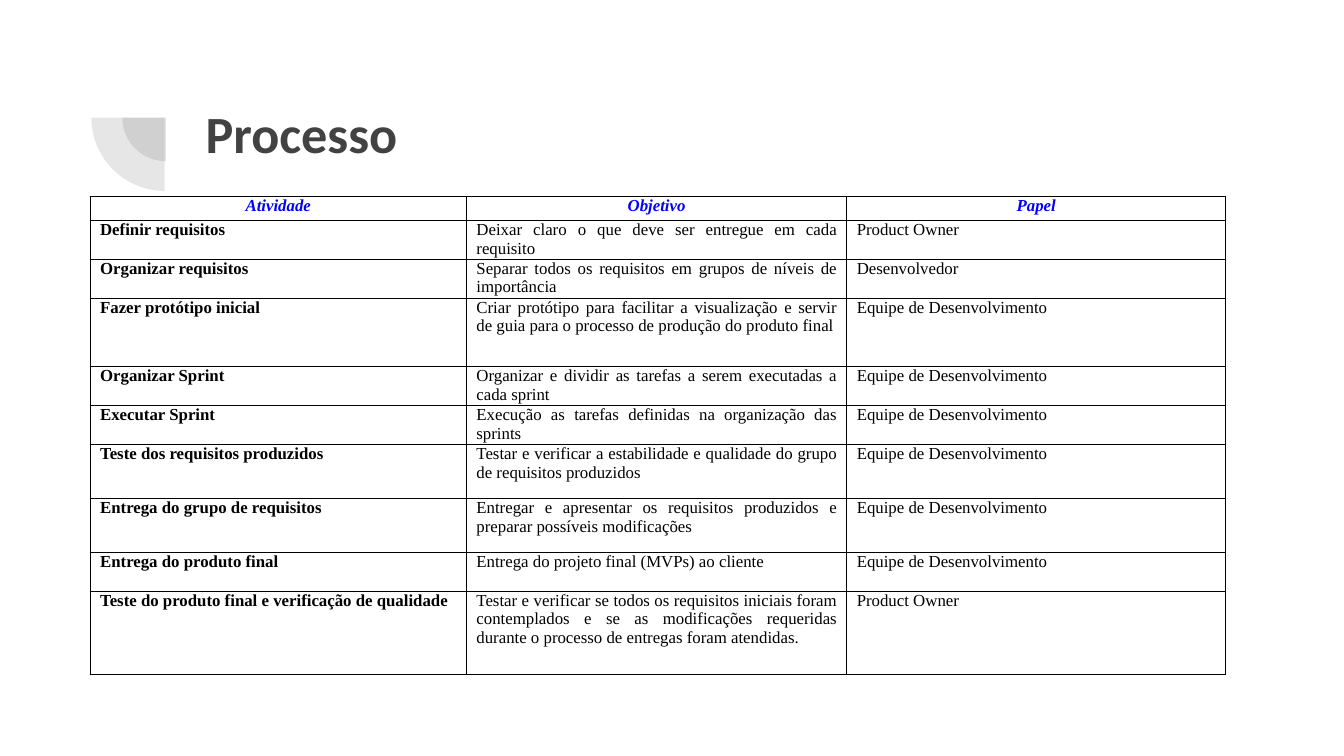
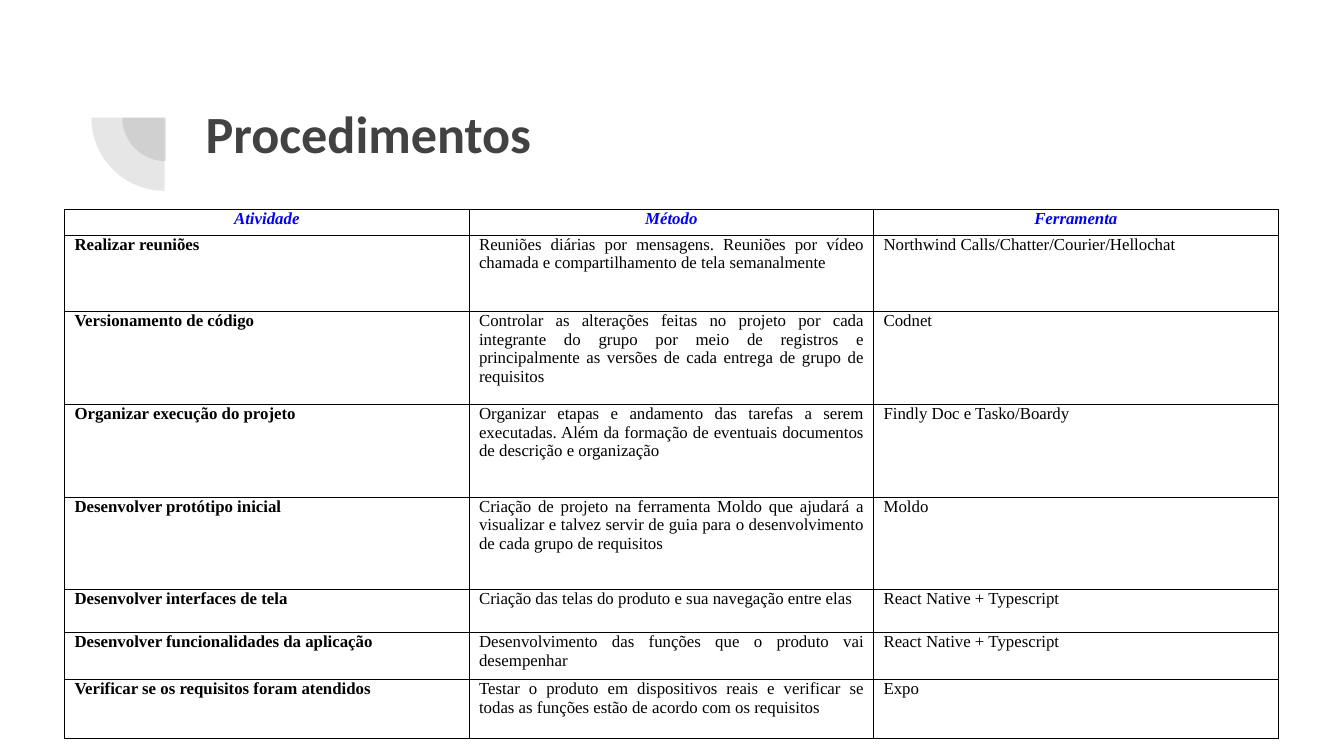
from lxml.etree import SubElement
from pptx import Presentation
from pptx.dml.color import RGBColor
from pptx.enum.shapes import MSO_SHAPE as Preset
from pptx.enum.text import MSO_ANCHOR as Anchor, MSO_AUTO_SIZE as AutoSize, PP_ALIGN as Align
from pptx.oxml.ns import qn
from pptx.util import Inches, Pt

GREY, BLUE, BLACK = "424242", "0000FF", "000000"
TITLE_FONT = {"name": "Calibri", "size": Pt(28), "bold": True}
HEADER_FONT = {"name": "Times New Roman", "size": Pt(9), "bold": True, "italic": True}
ACTIVITY_FONT = HEADER_FONT | {"italic": False}
DETAIL_FONT = ACTIVITY_FONT | {"bold": False}
TITLE_BOX = {"left": Inches(1.43), "top": Inches(0.65), "width": Inches(7.69), "height": Inches(1.09)}
TITLE_FRAME = {"margin_left": Inches(0.1), "margin_right": Inches(0.1),
               "margin_top": Inches(0.1), "margin_bottom": Inches(0.1),
               "vertical_anchor": Anchor.TOP, "word_wrap": True, "auto_size": AutoSize.NONE}
CELL_FRAME = {"margin_left": Pt(5.4), "margin_right": Pt(5.4),
              "margin_top": 0, "margin_bottom": 0, "vertical_anchor": Anchor.TOP}
PIES = [(0.91, 0.55, 0.65), (0.68, 0.33, 1.09)]

TEAM = "Equipe de Desenvolvimento"
STACK = "React Native + Typescript"
PAGES = [
    {
        "title": "Processo", "left": 0.67, "top": 1.46, "columns": [2.8, 2.83, 2.82],
        "heights": [0.18, 0.29, 0.29, 0.51, 0.29, 0.29, 0.4, 0.4, 0.29, 0.62],
        "rows": [
            ("Atividade", "Objetivo", "Papel"),
            ("Definir requisitos", "Deixar claro o que deve ser entregue em cada requisito", "Product Owner"),
            ("Organizar requisitos", "Separar todos os requisitos em grupos de níveis de importância",
             "Desenvolvedor"),
            ("Fazer protótipo inicial", "Criar protótipo para facilitar a visualização e servir de guia "
             "para o processo de produção do produto final", TEAM),
            ("Organizar Sprint", "Organizar e dividir as tarefas a serem executadas a cada sprint", TEAM),
            ("Executar Sprint", "Execução as tarefas definidas na organização das sprints", TEAM),
            ("Teste dos requisitos produzidos", "Testar e verificar a estabilidade e qualidade do grupo "
             "de requisitos produzidos", TEAM),
            ("Entrega do grupo de requisitos", "Entregar e apresentar os requisitos produzidos e "
             "preparar possíveis modificações", TEAM),
            ("Entrega do produto final", "Entrega do projeto final (MVPs) ao cliente", TEAM),
            ("Teste do produto final e verificação de qualidade",
             "Testar e verificar se todos os requisitos iniciais foram contemplados e se as modificações "
             "requeridas durante o processo de entregas foram atendidas.", "Product Owner"),
        ],
    },
    {
        "title": "Procedimentos", "left": 0.48, "top": 1.56, "columns": [3.01] * 3,
        "heights": [0.19, 0.57, 0.69, 0.69, 0.69, 0.32, 0.35, 0.44],
        "rows": [
            ("Atividade", "Método", "Ferramenta"),
            ("Realizar reuniões", "Reuniões diárias por mensagens. Reuniões por vídeo chamada e "
             "compartilhamento de tela semanalmente", "Northwind Calls/Chatter/Courier/Hellochat"),
            ("Versionamento de código", "Controlar as alterações feitas no projeto por cada integrante do "
             "grupo por meio de registros e principalmente as versões de cada entrega de grupo de requisitos",
             "Codnet"),
            ("Organizar execução do projeto", "Organizar etapas e andamento das tarefas a serem executadas. "
             "Além da formação de eventuais documentos de descrição e organização", "Findly Doc e Tasko/Boardy"),
            ("Desenvolver protótipo inicial", "Criação de projeto na ferramenta Moldo que ajudará a visualizar "
             "e talvez servir de guia para o desenvolvimento de cada grupo de requisitos", "Moldo"),
            ("Desenvolver interfaces de tela", "Criação das telas do produto e sua navegação entre elas", STACK),
            ("Desenvolver funcionalidades da aplicação",
             "Desenvolvimento das funções que o produto vai desempenhar", STACK),
            ("Verificar se os requisitos foram atendidos", "Testar o produto em dispositivos reais e verificar "
             "se todas as funções estão de acordo com os requisitos", "Expo"),
        ],
    },
]


def apply(target, values):
    for name, value in values.items():
        setattr(target, name, value)


def paint(color, value):
    color.rgb = RGBColor.from_string(value)


deck = Presentation()
deck.slide_width = Inches(10)
deck.slide_height = deck.slide_width * 9 // 16
layout = deck.slide_layouts[5]

for number, content in enumerate(PAGES):
    page = deck.slides.add_slide(layout)

    if number == 0:
        for left, top, size in PIES:
            pie = page.shapes.add_shape(Preset.PIE, Inches(left), Inches(top), Inches(size), Inches(size))
            pie.adjustments[0], pie.adjustments[1] = 108, 162
            pie.rotation = 270
            pie.shadow.inherit = False
            pie.line.fill.background()
            pie.fill.solid()
            paint(pie.fill.fore_color, GREY)
            SubElement(next(pie.element.iter(qn("a:srgbClr"))), qn("a:alpha"), val="13000")
            layout.shapes.element.append(pie.element)

    title = page.shapes.title
    apply(title, TITLE_BOX)
    apply(title.text_frame, TITLE_FRAME)
    para = title.text_frame.paragraphs[0]
    para.alignment = Align.LEFT
    span = para.add_run()
    span.text = content["title"]
    apply(span.font, TITLE_FONT)
    paint(span.font.color, GREY)

    rows, columns, heights = content["rows"], content["columns"], content["heights"]
    table = page.shapes.add_table(len(rows), len(columns), Inches(content["left"]), Inches(content["top"]),
                                  Inches(sum(columns)), Inches(sum(heights))).table
    table.first_row = table.horz_banding = False
    for column, width in zip(table.columns, columns):
        column.width = Inches(width)

    for row_index, texts in enumerate(rows):
        table.rows[row_index].height = Inches(heights[row_index])
        is_header = row_index == 0
        for column_index, text in enumerate(texts):
            cell = table.cell(row_index, column_index)
            apply(cell, CELL_FRAME)
            para = cell.text_frame.paragraphs[0]
            apply(para, {"alignment": Align.CENTER if is_header else Align.JUSTIFY, "space_after": Pt(6)})
            span = para.add_run()
            span.text = text
            body_font = ACTIVITY_FONT if column_index == 0 else DETAIL_FONT
            apply(span.font, HEADER_FONT if is_header else body_font)
            paint(span.font.color, BLUE if is_header else BLACK)
            properties = cell._tc.get_or_add_tcPr()
            for side in ("lnL", "lnR", "lnT", "lnB"):
                border = SubElement(properties, qn(f"a:{side}"), w=str(Pt(0.5)))
                SubElement(SubElement(border, qn("a:solidFill")), qn("a:srgbClr"), val=BLACK)
            cell.fill.background()

deck.save("out.pptx")
